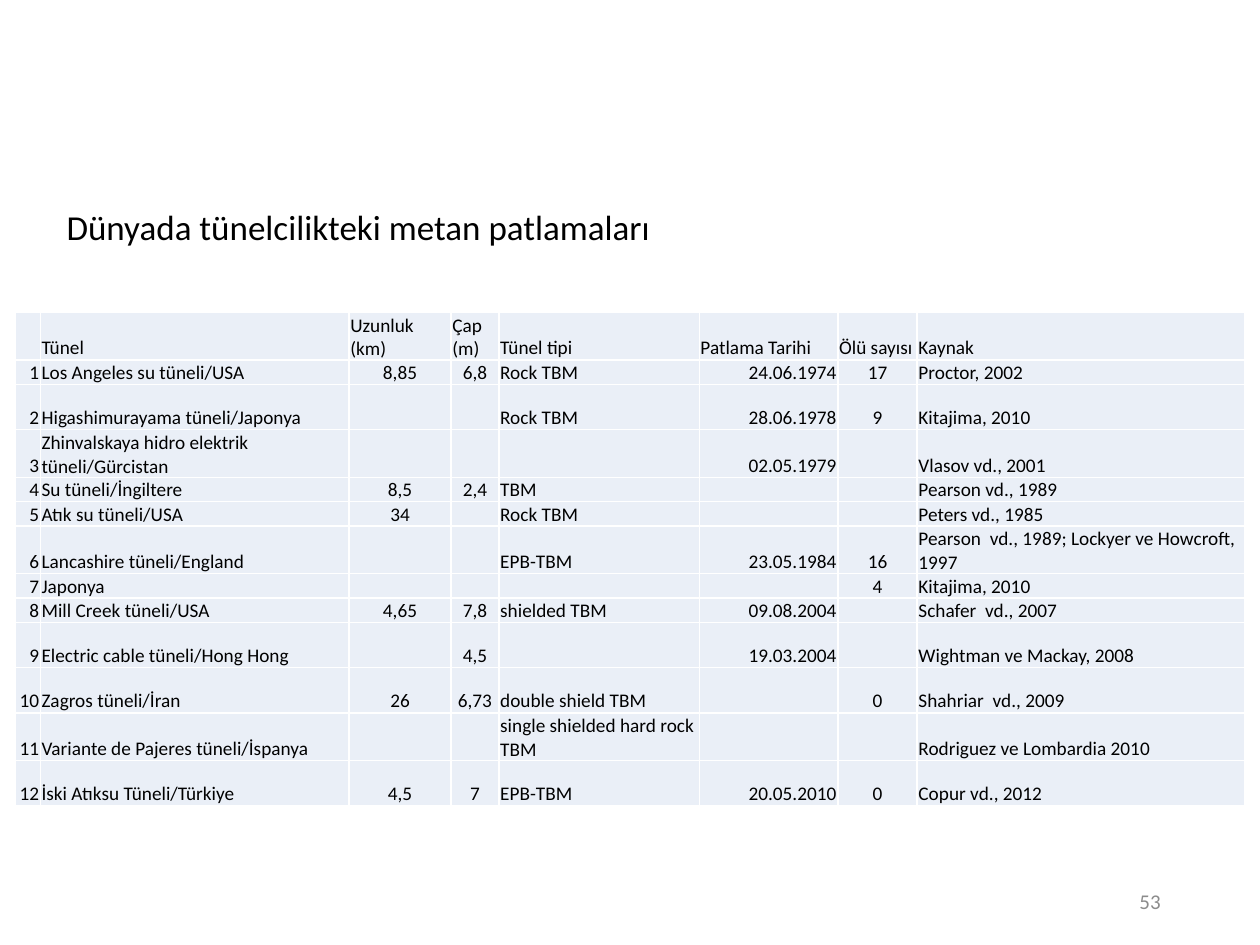
from lxml import etree
from pptx import Presentation
from pptx.dml.color import RGBColor
from pptx.enum.text import MSO_ANCHOR, PP_ALIGN
from pptx.oxml.ns import qn
from pptx.util import Inches, Pt

LEFT, MID, RIGHT = PP_ALIGN.LEFT, PP_ALIGN.CENTER, PP_ALIGN.RIGHT
TOP, CENTER, BOTTOM = MSO_ANCHOR.TOP, MSO_ANCHOR.MIDDLE, MSO_ANCHOR.BOTTOM

WIDTHS = [0.2, 2.45, 0.81, 0.38, 1.59, 1.1, 0.63, 2.6]
ALIGNS = [RIGHT, LEFT, MID, MID, LEFT, RIGHT, MID, LEFT]
LOW, HIGH = 0.18, 0.36
SHORT = {1, 4, 5, 7, 8}  # rows of one line

HEAD = ["", "Tünel", "Uzunluk (km)", "Çap (m)", "Tünel tipi",
        "Patlama Tarihi", "Ölü sayısı", "Kaynak"]
BLASTS = [
    ["Los Angeles su tüneli/USA", "8,85", "6,8", "Rock TBM", "24.06.1974", "17", "Proctor, 2002"],
    ["Higashimurayama tüneli/Japonya", "", "", "Rock TBM", "28.06.1978", "9", "Kitajima, 2010"],
    ["Zhinvalskaya hidro elektrik tüneli/Gürcistan", "", "", "", "02.05.1979", "", "Vlasov vd., 2001"],
    ["Su tüneli/İngiltere", "8,5", "2,4", "TBM", "", "", "Pearson vd., 1989"],
    ["Atık su tüneli/USA", "34", "", "Rock TBM", "", "", "Peters vd., 1985"],
    ["Lancashire tüneli/England", "", "", "EPB-TBM", "23.05.1984", "16",
     "Pearson  vd., 1989; Lockyer ve Howcroft, 1997"],
    ["Japonya", "", "", "", "", "4", "Kitajima, 2010"],
    ["Mill Creek tüneli/USA", "4,65", "7,8", "shielded TBM", "09.08.2004", "", "Schafer  vd., 2007"],
    ["Electric cable tüneli/Hong Hong", "", "4,5", "", "19.03.2004", "", "Wightman ve Mackay, 2008"],
    ["Zagros tüneli/İran", "26", "6,73", "double shield TBM", "", "0", "Shahriar  vd., 2009"],
    ["Variante de Pajeres tüneli/İspanya", "", "", "single shielded hard rock TBM", "", "",
     "Rodriguez ve Lombardia 2010"],
    ["İski Atıksu Tüneli/Türkiye", "4,5", "7", "EPB-TBM", "20.05.2010", "0", "Copur vd., 2012"],
]


def color(code):
    return RGBColor.from_string(code)


class Deck:
    font, ink, gray, pale, line = "Calibri", "000000", "8C8C8C", "EAEFF7", "FFFFFF"

    def __init__(self):
        self.prs = Presentation()
        self.prs.slide_width, self.prs.slide_height = Inches(10), Inches(7.5)
        self.slide = self.prs.slides.add_slide(self.prs.slide_layouts[6])

    def label(self, para, text, size, ink, align):
        para.alignment = align
        if not text:
            # Keep the line height of an empty cell small
            etree.SubElement(para._p, qn("a:endParaRPr"), sz=str(size * 100))
            return
        run = para.add_run()
        run.text = text
        for name, value in {"name": self.font, "size": Pt(size)}.items():
            setattr(run.font, name, value)
        run.font.color.rgb = color(ink)

    def text(self, box, text, size, ink, align=LEFT, anchor=TOP, space=1.0):
        frame = self.slide.shapes.add_textbox(*map(Inches, box)).text_frame
        frame.word_wrap, frame.vertical_anchor = True, anchor
        para = frame.paragraphs[0]
        para.line_spacing = space
        self.label(para, text, size, ink, align)

    def border(self, cell):
        props = cell._tc.get_or_add_tcPr()
        for side in ("lnL", "lnR", "lnT", "lnB"):
            edge = etree.SubElement(props, qn("a:" + side), w=str(Pt(1)))
            fill = etree.SubElement(edge, qn("a:solidFill"))
            etree.SubElement(fill, qn("a:srgbClr"), val=self.line)

    def cell(self, cell, text, align):
        look = {"vertical_anchor": BOTTOM, "margin_left": Inches(0.01),
                "margin_right": Inches(0.01), "margin_top": Inches(0.01),
                "margin_bottom": 0}
        for name, value in look.items():
            setattr(cell, name, value)
        self.border(cell)
        cell.fill.solid()
        cell.fill.fore_color.rgb = color(self.pale)
        self.label(cell.text_frame.paragraphs[0], text, 11, self.ink, align)

    def table(self, left, top, rows, widths, heights, aligns):
        box = map(Inches, (left, top, sum(widths), sum(heights)))
        grid = self.slide.shapes.add_table(len(rows), len(widths), *box).table
        grid.first_row = grid.horz_banding = False
        for col, width in zip(grid.columns, widths):
            col.width = Inches(width)
        for r, (row, height) in enumerate(zip(rows, heights)):
            grid.rows[r].height = Inches(height)
            for c, text in enumerate(row):
                self.cell(grid.cell(r, c), text, aligns[c] if r else LEFT)


def main():
    deck = Deck()

    # Heading
    deck.text((0.43, 1.62, 9, 0.52), "Dünyada tünelcilikteki metan patlamaları",
              20, deck.ink, space=0.9)

    # Table of methane blasts
    rows = [HEAD] + [[str(n), *blast] for n, blast in enumerate(BLASTS, 1)]
    heights = [LOW if r in SHORT else HIGH for r in range(len(rows))]
    deck.table(0.12, 2.48, rows, WIDTHS, heights, ALIGNS)

    # Page number
    deck.text((7.06, 6.95, 2.25, 0.4), "53", 12, deck.gray, RIGHT, CENTER)

    deck.prs.save("out.pptx")


if __name__ == "__main__":
    main()
